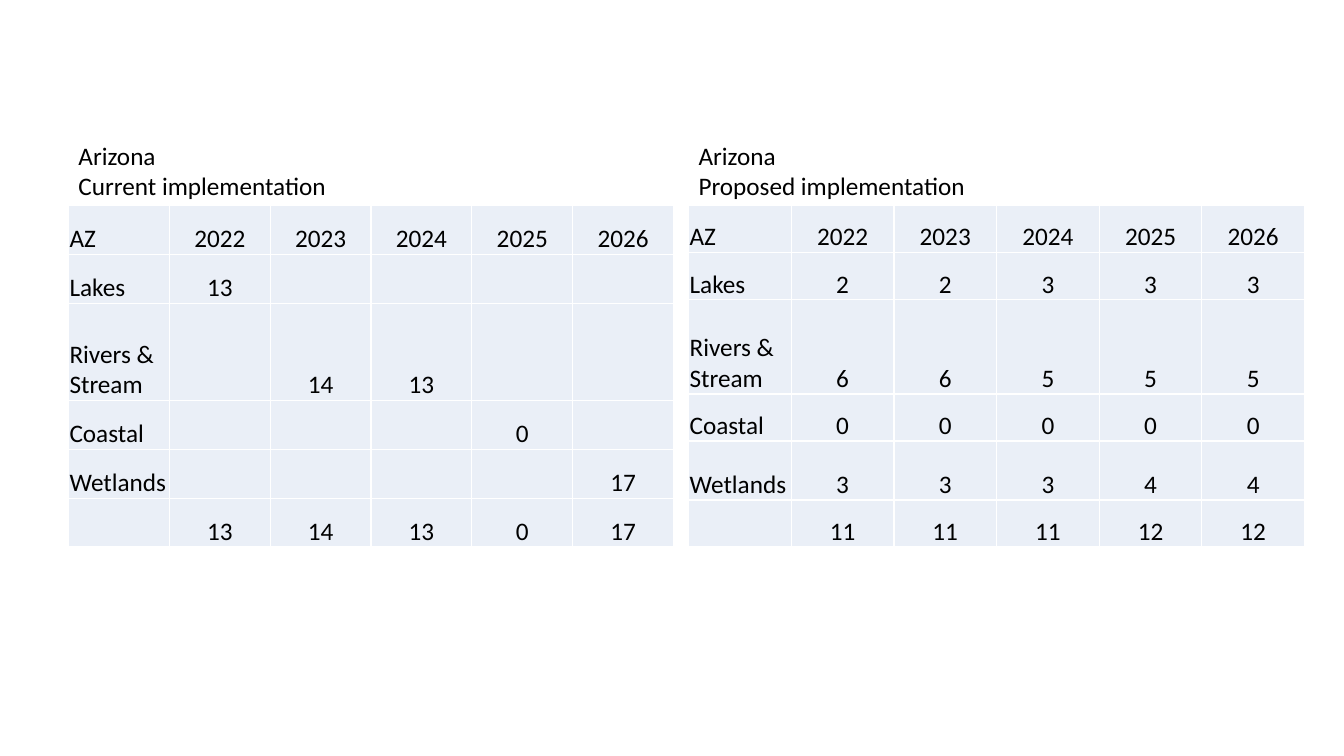
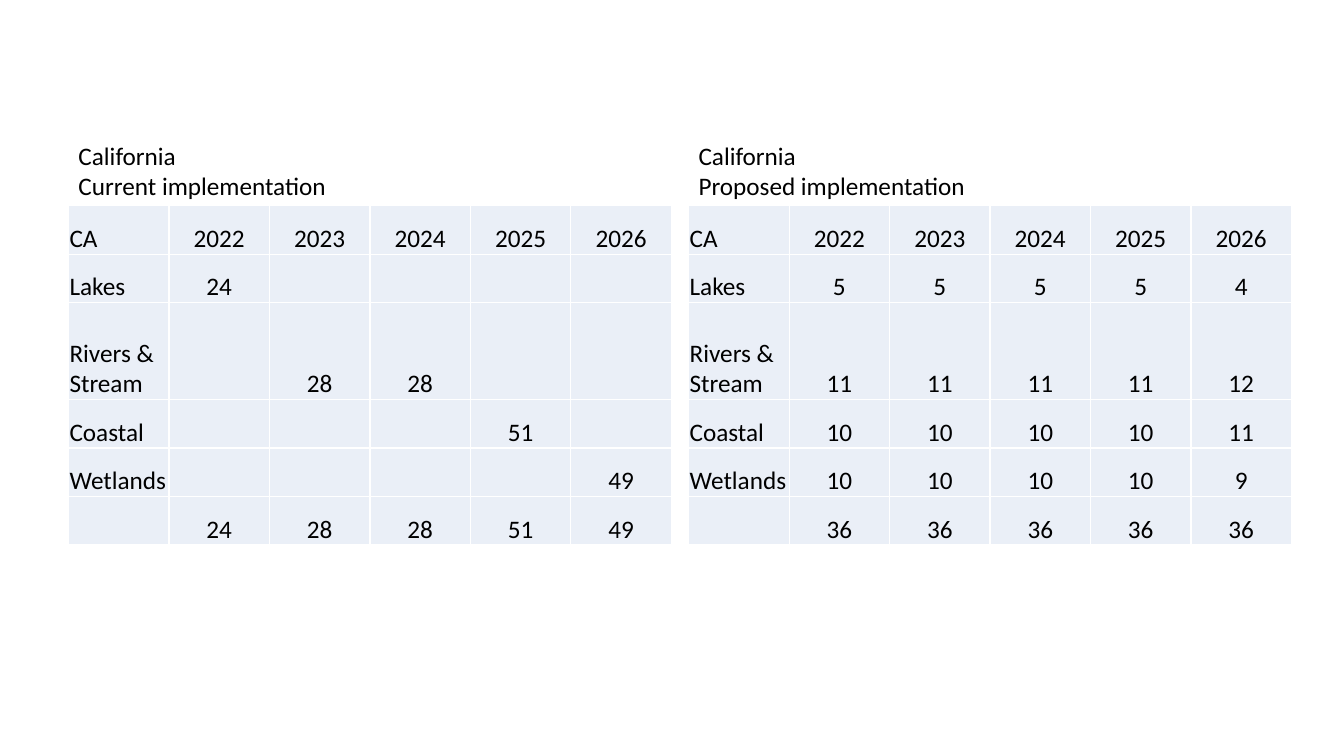
from lxml.etree import SubElement
from pptx import Presentation
from pptx.dml.color import RGBColor
from pptx.enum.text import MSO_ANCHOR, MSO_AUTO_SIZE, PP_ALIGN
from pptx.oxml.ns import qn
from pptx.util import Inches, Pt

INK, CELL, RULE = "000000", "EAEFF7", "FFFFFF"
TEXT_FORMAT = {"name": "Calibri", "size": Pt(18), "bold": False}
CAPTION_FORMAT = {"word_wrap": False, "auto_size": MSO_AUTO_SIZE.SHAPE_TO_FIT_TEXT}
TABLE_FORMAT = {"first_row": False, "horz_banding": False}
CELL_FORMAT = {
    "vertical_anchor": MSO_ANCHOR.BOTTOM,
    "margin_left": Inches(0.01),
    "margin_right": Inches(0.01),
    "margin_top": Inches(0.01),
    "margin_bottom": Inches(0),
}
CAPTION_TOP, CAPTION_HEIGHT, TABLE_TOP = 1.34, 0.71, 2.04
YEARS = [2022, 2023, 2024, 2025, 2026]
WATERS = ["Lakes", "Rivers & Stream", "Coastal", "Wetlands"]
PLANS = {"Current": {"left": 0.68, "caption_width": 2.68},
         "Proposed": {"left": 6.83, "caption_width": 2.87}}

STATES = [
    {"name": "Arizona", "code": "AZ", "plans": {
        "Current": {
            "width": 6, "row_height": 0.484, "wetlands_height": 0.484,
            "counts": [[13, None, None, None, None],
                       [None, 14, 13, None, None],
                       [None, None, None, 0, None],
                       [None, None, None, None, 17]]},
        "Proposed": {
            "width": 6.11, "row_height": 0.467, "wetlands_height": 0.585,
            "counts": [[2, 2, 3, 3, 3],
                       [6, 6, 5, 5, 5],
                       [0, 0, 0, 0, 0],
                       [3, 3, 3, 4, 4]]}}},
    {"name": "California", "code": "CA", "plans": {
        "Current": {
            "width": 5.98, "row_height": 0.481, "wetlands_height": 0.481,
            "counts": [[24, None, None, None, None],
                       [None, 28, 28, None, None],
                       [None, None, None, 51, None],
                       [None, None, None, None, 49]]},
        "Proposed": {
            "width": 5.98, "row_height": 0.481, "wetlands_height": 0.481,
            "counts": [[5, 5, 5, 5, 4],
                       [11, 11, 11, 11, 12],
                       [10, 10, 10, 10, 11],
                       [10, 10, 10, 10, 9]]}}},
]


def color(value):
    """Turn a hex string into a colour."""
    return RGBColor.from_string(value)


def apply_format(target, values):
    """Set each named attribute on the target."""
    for name, value in values.items():
        setattr(target, name, value)


def style_font(font):
    """Give a font the shared text style."""
    apply_format(font, TEXT_FORMAT)
    font.color.rgb = color(INK)


def add_caption(slide, state_name, plan_name):
    """Add the two-line caption above a plan's table."""
    place = PLANS[plan_name]
    caption = slide.shapes.add_textbox(
        Inches(place["left"]), Inches(CAPTION_TOP),
        Inches(place["caption_width"]), Inches(CAPTION_HEIGHT)).text_frame
    apply_format(caption, CAPTION_FORMAT)
    caption.text = f"{state_name}\n{plan_name} implementation"
    for line in caption.paragraphs:
        style_font(line.runs[0].font)


def add_borders(cell):
    """Draw a thin rule on all four sides of a cell."""
    properties = cell._tc.get_or_add_tcPr()
    for side in ("a:lnL", "a:lnR", "a:lnT", "a:lnB"):
        rule = SubElement(properties, qn(side), w=str(Pt(1)))
        fill = SubElement(rule, qn("a:solidFill"))
        SubElement(fill, qn("a:srgbClr"), val=RULE)


def fill_cell(cell, value, centered):
    """Write and style one table cell."""
    apply_format(cell, CELL_FORMAT)
    add_borders(cell)
    cell.fill.solid()
    cell.fill.fore_color.rgb = color(CELL)
    entry = cell.text_frame.paragraphs[0]
    entry.alignment = PP_ALIGN.CENTER if centered else PP_ALIGN.LEFT
    style_font(entry.font)
    if value is not None:
        entry.text = str(value)
        style_font(entry.runs[0].font)


def count_rows(code, counts):
    """Return the header, the counts by water type and the yearly totals."""
    totals = [sum(count or 0 for count in year) for year in zip(*counts)]
    body = [[water, *row] for water, row in zip(WATERS, counts)]
    return [[code, *YEARS], *body, [None, *totals]]


def add_count_table(slide, code, plan_name, plan):
    """Add one plan's table of counts."""
    rows = count_rows(code, plan["counts"])
    unit = plan["row_height"]
    heights = [unit, unit, 2 * unit, unit, plan["wetlands_height"], unit]
    table = slide.shapes.add_table(
        len(rows), len(rows[0]), Inches(PLANS[plan_name]["left"]), Inches(TABLE_TOP),
        Inches(plan["width"]), Inches(sum(heights))).table
    apply_format(table, TABLE_FORMAT)
    for column in table.columns:
        column.width = Inches(plan["width"] / len(rows[0]))
    for r, (height, row) in enumerate(zip(heights, rows)):
        table.rows[r].height = Inches(height)
        for c, value in enumerate(row):
            fill_cell(table.cell(r, c), value, centered=c > 0)


def add_state_slide(deck, state):
    """Add a slide comparing a state's two plans."""
    slide = deck.slides.add_slide(deck.slide_layouts[6])
    for plan_name, plan in state["plans"].items():
        add_caption(slide, state["name"], plan_name)
        add_count_table(slide, state["code"], plan_name, plan)


def main():
    """Build and save the deck."""
    deck = Presentation()
    apply_format(deck, {"slide_width": Inches(13.33), "slide_height": Inches(7.5)})
    for state in STATES:
        add_state_slide(deck, state)
    deck.save("out.pptx")


main()
